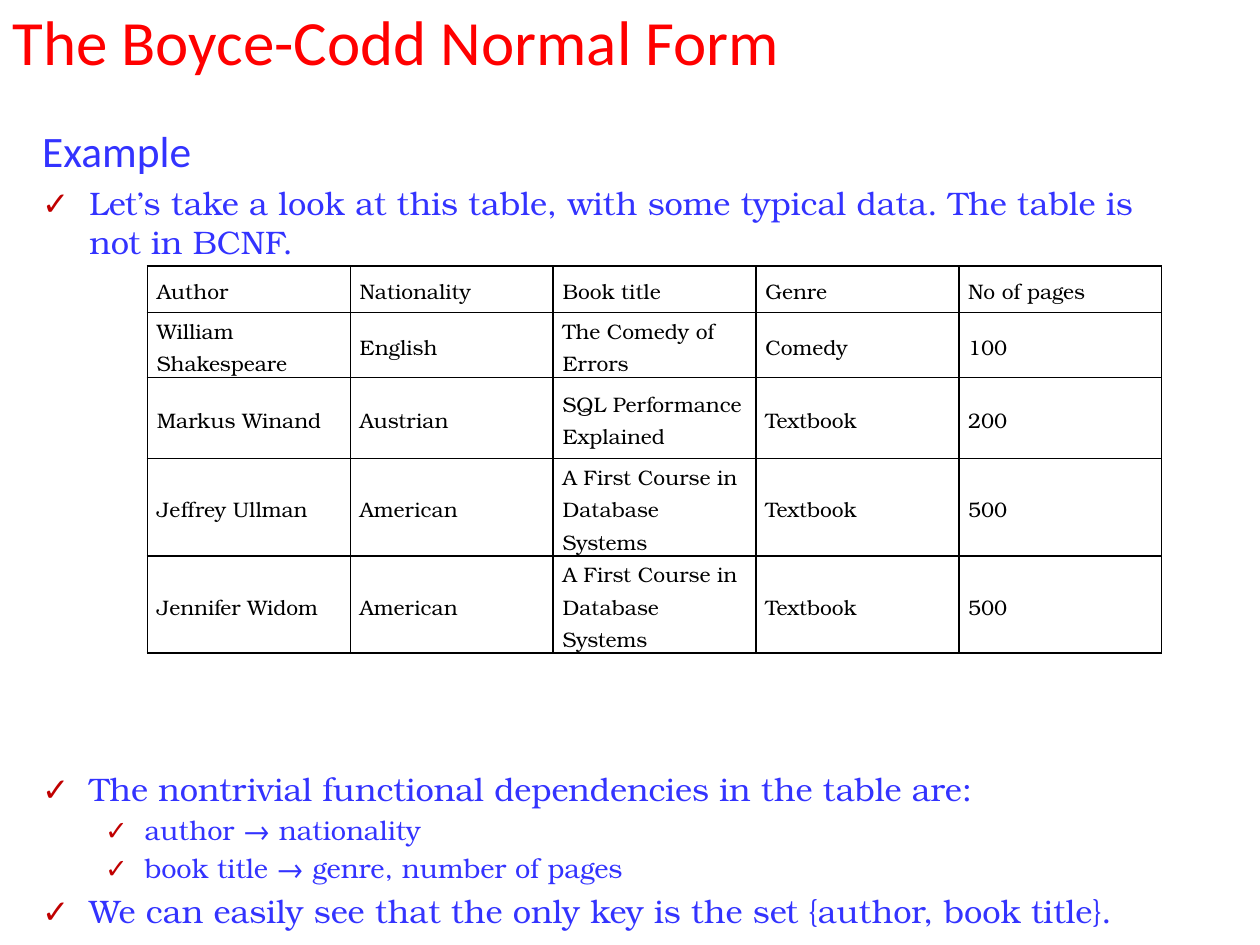
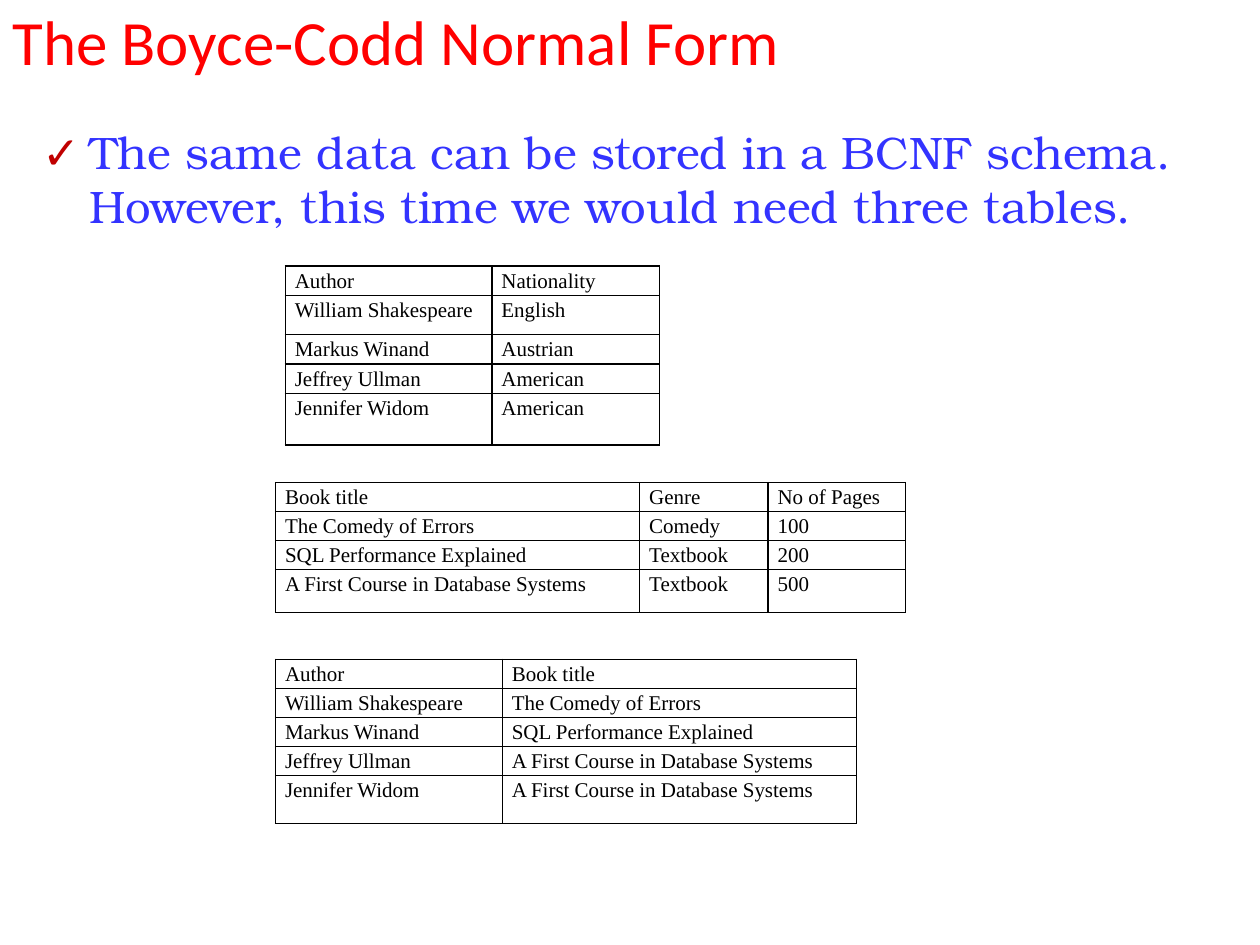
from dataclasses import dataclass

from lxml.etree import SubElement
from pptx import Presentation
from pptx.dml.color import RGBColor
from pptx.enum.text import MSO_VERTICAL_ANCHOR as Anchor
from pptx.oxml.ns import qn
from pptx.util import Pt

RED = RGBColor(0xFF, 0x00, 0x00)
BLUE = RGBColor(0x33, 0x33, 0xFF)
CRIMSON = RGBColor(0xC0, 0x00, 0x00)
BLACK = RGBColor(0x00, 0x00, 0x00)
HEADING_FONT = "Calibri"
BODY_FONT = "TeX Gyre Bonum"
TABLE_FONT = "Times New Roman"

TITLE = "The Boyce-Codd Normal Form"
BODY_LEFT, BODY_TOP, BODY_WIDTH = 17, 67.3, 667.44
INDENTS = {0: (27, -27), 1: (58.5, -22.5)}
CELL_MARGIN = 5.4
CELL_SIZE = 12

SHAKESPEARE, WINAND = "William Shakespeare", "Markus Winand"
ULLMAN, WIDOM = "Jeffrey Ullman", "Jennifer Widom"
COMEDY, SQL, COURSE = (
    "The Comedy of Errors",
    "SQL Performance Explained",
    "A First Course in Database Systems",
)


@dataclass(frozen=True)
class BodyLine:
    text: str
    size: float
    font: str = BODY_FONT
    level: int = 0
    bulleted: bool = True


@dataclass(frozen=True)
class DataTable:
    left: float
    top: float
    columns: list[float]
    row_heights: list[float]
    rows: list[tuple[str, ...]]
    font: str = TABLE_FONT
    anchor: Anchor = Anchor.TOP


BOOKS_BY_AUTHOR = DataTable(
    84.24, 151.92, [115.92] * 5, [26.6, 37.2, 46.4, 55.6, 55.6],
    [
        ("Author", "Nationality", "Book title", "Genre", "No of pages"),
        (SHAKESPEARE, "English", COMEDY, "Comedy", "100"),
        (WINAND, "Austrian", SQL, "Textbook", "200"),
        (ULLMAN, "American", COURSE, "Textbook", "500"),
        (WIDOM, "American", COURSE, "Textbook", "500"),
    ],
    font=BODY_FONT, anchor=Anchor.MIDDLE,
)
BCNF_TABLES = [
    DataTable(
        163.1, 151.92, [118.08, 95.76], [16.85, 22.5, 16.85, 16.85, 29.5],
        [
            ("Author", "Nationality"),
            (SHAKESPEARE, "English"),
            (WINAND, "Austrian"),
            (ULLMAN, "American"),
            (WIDOM, "American"),
        ],
    ),
    DataTable(
        157.5, 275.76, [208.08, 73.44, 78.48], [15.3, 15.3, 15.3, 24.5],
        [
            ("Book title", "Genre", "No of Pages"),
            (COMEDY, "Comedy", "100"),
            (SQL, "Textbook", "200"),
            (COURSE, "Textbook", "500"),
        ],
    ),
    DataTable(
        157.5, 376.8, [129.6, 202.32], [15.5, 15.7, 15.7, 15.7, 27.3],
        [
            ("Author", "Book title"),
            (SHAKESPEARE, COMEDY),
            (WINAND, SQL),
            (ULLMAN, COURSE),
            (WIDOM, COURSE),
        ],
    ),
]


def write_text(paragraph, text: str, *, size: float, font: str, color: RGBColor) -> None:
    run = paragraph.add_run()
    run.text = text
    run.font.size = Pt(size)
    run.font.name = font
    run.font.color.rgb = color
    ending = SubElement(paragraph._p, qn("a:endParaRPr"), sz=str(round(size * 100)))
    SubElement(ending, qn("a:latin"), typeface=font)


def add_text_box(slide, left: float, top: float, width: float, height: float):
    frame = slide.shapes.add_textbox(Pt(left), Pt(top), Pt(width), Pt(height)).text_frame
    frame.word_wrap = True
    return frame


def set_indent(paragraph, level: int, bulleted: bool) -> None:
    properties = paragraph._p.get_or_add_pPr()
    margin, hanging = INDENTS[level]
    properties.set("marL", str(Pt(margin)))
    properties.set("indent", str(Pt(hanging)))
    if bulleted:
        bullet_color = SubElement(properties, qn("a:buClr"))
        SubElement(bullet_color, qn("a:srgbClr"), val=str(CRIMSON))
        SubElement(properties, qn("a:buFont"), typeface=BODY_FONT)
        SubElement(properties, qn("a:buChar"), char="✓")


def add_body(slide, top: float, height: float, lines: list[BodyLine]) -> None:
    frame = add_text_box(slide, BODY_LEFT, top, BODY_WIDTH, height)
    for index, line in enumerate(lines):
        paragraph = frame.add_paragraph() if index else frame.paragraphs[0]
        paragraph.level = line.level
        set_indent(paragraph, line.level, line.bulleted)
        if index:
            paragraph.space_before = Pt(round(line.size * 0.2, 1))
        write_text(paragraph, line.text, size=line.size, font=line.font, color=BLUE)


def add_borders(cell) -> None:
    properties = cell._tc.get_or_add_tcPr()
    for side in ("lnL", "lnR", "lnT", "lnB"):
        border = SubElement(properties, qn(f"a:{side}"), w=str(Pt(1)))
        fill = SubElement(border, qn("a:solidFill"))
        SubElement(fill, qn("a:srgbClr"), val=str(BLACK))


def add_data_table(slide, data: DataTable) -> None:
    table = slide.shapes.add_table(
        len(data.rows), len(data.columns), Pt(data.left), Pt(data.top),
        Pt(sum(data.columns)), Pt(sum(data.row_heights)),
    ).table
    table.first_row = table.horz_banding = False
    for column, width in zip(table.columns, data.columns):
        column.width = Pt(width)
    for row, height, texts in zip(table.rows, data.row_heights, data.rows):
        row.height = Pt(height)
        for cell, text in zip(row.cells, texts):
            add_borders(cell)
            cell.fill.background()
            cell.margin_left = cell.margin_right = Pt(CELL_MARGIN)
            cell.margin_top = cell.margin_bottom = Pt(0)
            cell.vertical_anchor = data.anchor
            paragraph = cell.text_frame.paragraphs[0]
            paragraph.line_spacing = 1.15
            write_text(paragraph, text, size=CELL_SIZE, font=data.font, color=BLACK)


def add_titled_slide(presentation):
    slide = presentation.slides.add_slide(presentation.slide_layouts[6])
    frame = add_text_box(slide, 0, 0, 648, 46.08)
    frame.vertical_anchor = Anchor.MIDDLE
    write_text(frame.paragraphs[0], TITLE, size=36, font=HEADING_FONT, color=RED)
    return slide


def build_example_slide(presentation) -> None:
    slide = add_titled_slide(presentation)
    add_body(slide, BODY_TOP, 84, [
        BodyLine("Example", 24.8, font=HEADING_FONT, bulleted=False),
        BodyLine("Let’s take a look at this table, with some typical data. "
                 "The table is not in BCNF.", 18.6),
    ])
    add_body(slide, 436, 98, [
        BodyLine("The nontrivial functional dependencies in the table are:", 18.6),
        BodyLine("author → nationality", 15.5, level=1),
        BodyLine("book title → genre, number of pages", 15.5, level=1),
        BodyLine("We can easily see that the only key is the set {author, book title}.", 18.6),
    ])
    add_data_table(slide, BOOKS_BY_AUTHOR)


def build_schema_slide(presentation) -> None:
    slide = add_titled_slide(presentation)
    add_body(slide, BODY_TOP, 72, [
        BodyLine("The same data can be stored in a BCNF schema. "
                 "However, this time we would need three tables.", 26),
    ])
    for data in BCNF_TABLES:
        add_data_table(slide, data)


def main() -> None:
    presentation = Presentation()
    presentation.slide_width, presentation.slide_height = Pt(720), Pt(540)
    build_example_slide(presentation)
    build_schema_slide(presentation)
    presentation.save("out.pptx")


if __name__ == "__main__":
    main()
